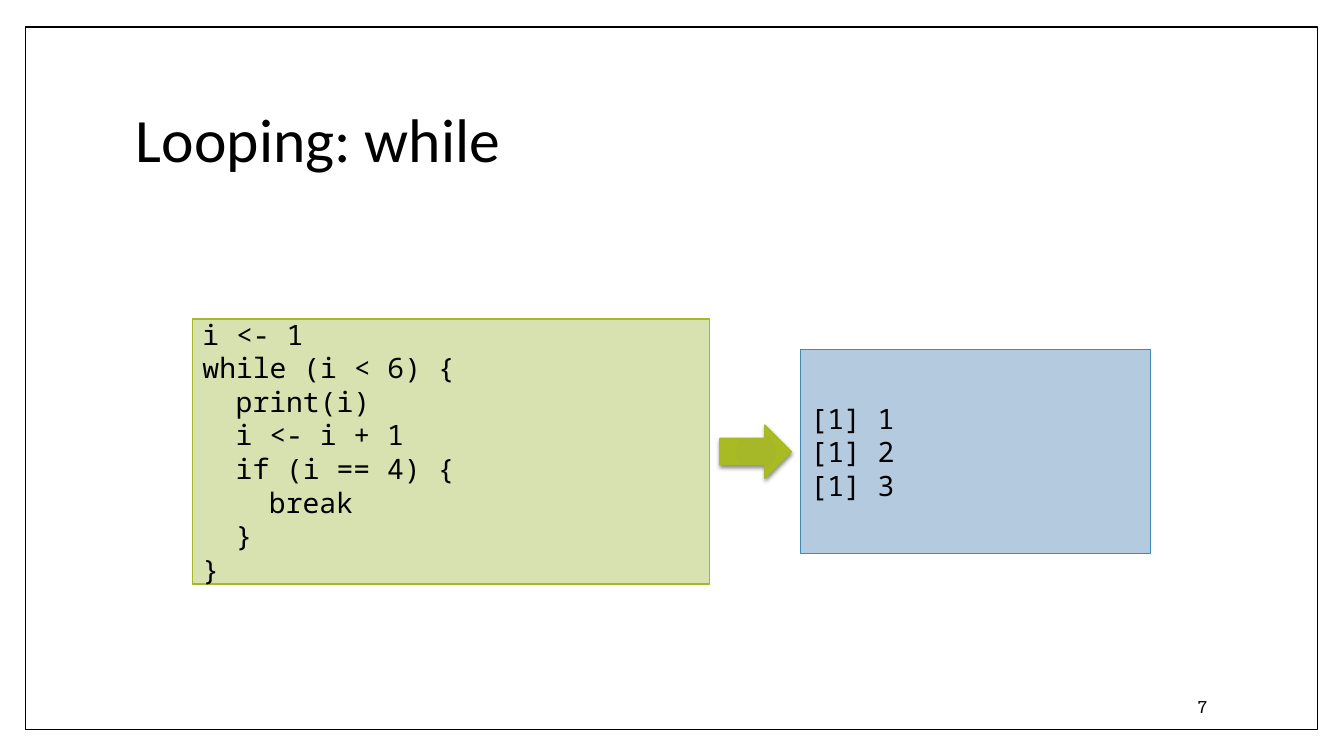
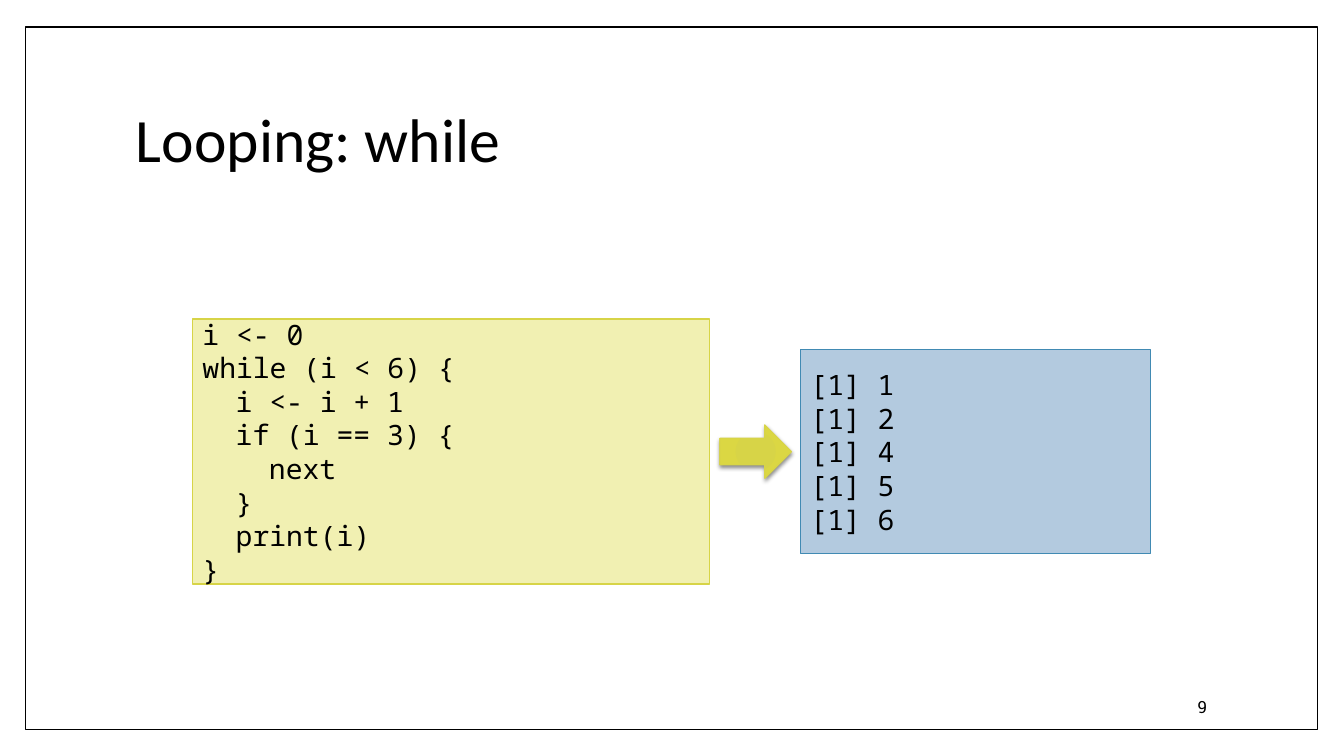
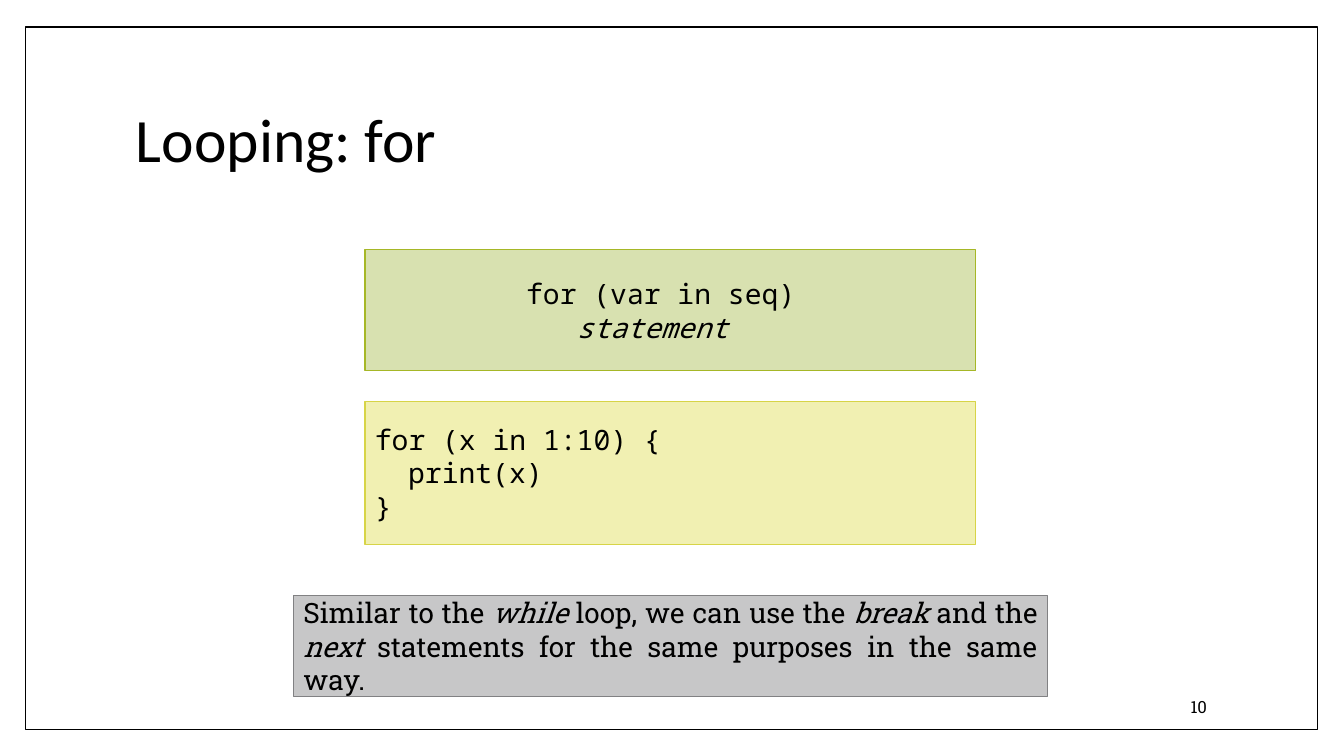
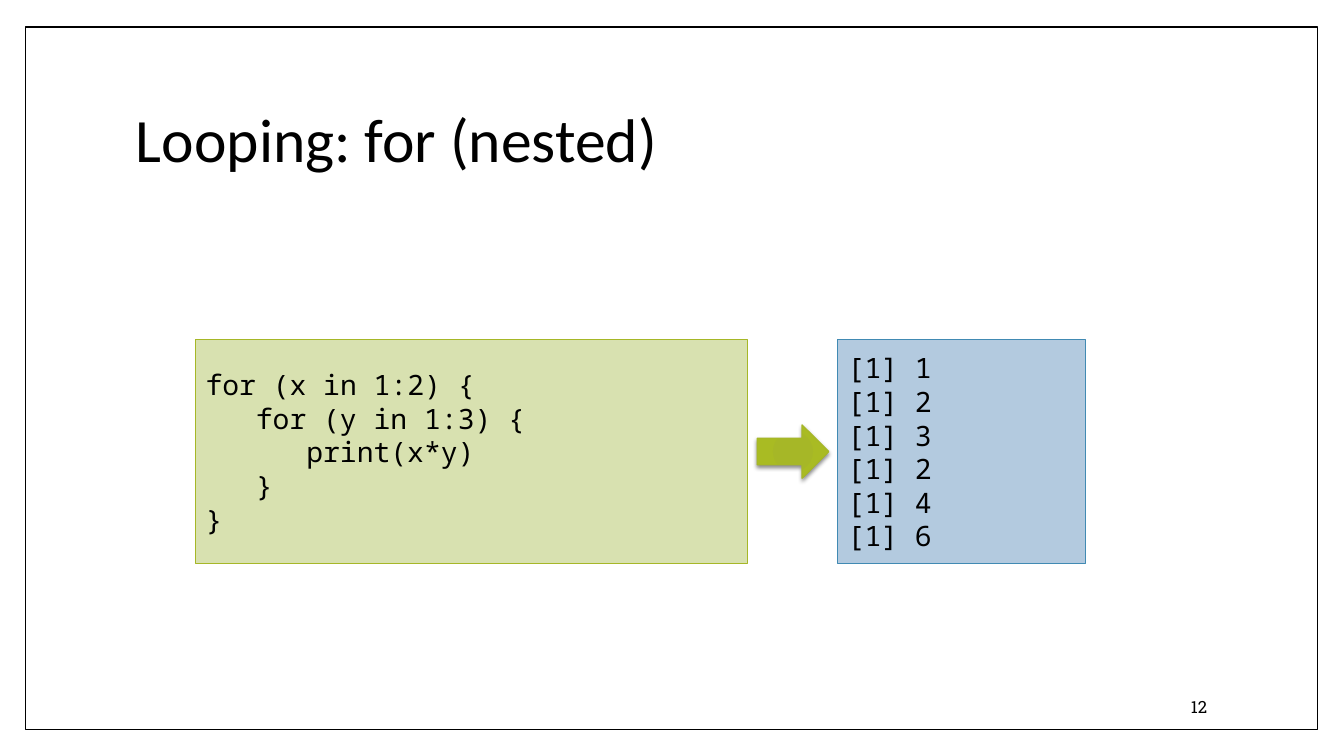
from lxml.etree import SubElement
from pptx import Presentation
from pptx.dml.color import RGBColor
from pptx.enum.shapes import MSO_SHAPE
from pptx.enum.text import MSO_ANCHOR, PP_ALIGN
from pptx.oxml import parse_xml
from pptx.oxml.ns import nsdecls, qn
from pptx.util import Inches, Pt

COLOURS = {
    "black": "000000", "white": "FFFFFF",
    "green": "A6B727", "green tint": "D8E1B0",
    "yellow": "D7D447", "yellow tint": "F1F0B2",
    "blue": "418AB3", "blue tint": "B3CADF",
    "grey": "818183", "grey tint": "C7C7C8",
}
ARROW_SHADES = {
    "green": ("A6B727", "A9BB23", "A1B316"),
    "yellow": ("D7D447", "DBD743", "D0CD33"),
}
FONTS = {
    "title": {"name": "Calibri", "size": Pt(44)},
    "number": {"name": "Roboto Slab", "size": Pt(12)},
    "note": {"name": "Roboto Slab", "size": Pt(20)},
    "code": {"name": "Noto Sans Mono", "size": Pt(20)},
}
MIDDLE = 4.48
ARROW_WIDTH, ARROW_HEIGHT = 0.71, 0.53
ARROW_GAP, OUTPUT_GAP = 0.1, 0.9


def colour(name):
    return RGBColor.from_string(COLOURS[name])


class LoopSlides:
    def __init__(self):
        self.deck = Presentation()
        self.deck.slide_width = Inches(13.33)
        self.deck.slide_height = Inches(7.5)
        self.page = None

    def start(self, title, number):
        """Add a page with its frame, title and page number."""
        self.page = self.deck.slides.add_slide(self.deck.slide_layouts[6])
        self.shape(MSO_SHAPE.RECTANGLE, (0.25, 0.27, 12.82, 6.97), "white", "black", 1)
        self.label((1.25, 0.67, 10.8, 1.48), title, "title", line_spacing=0.9)
        self.label((10.2, 6.81, 1.87, 0.4), str(number), "number", alignment=PP_ALIGN.RIGHT)

    def shape(self, kind, place, fill, line, width=0.79):
        shape = self.page.shapes.add_shape(kind, *map(Inches, place))
        shape.shadow.inherit = False
        shape.fill.solid()
        shape.fill.fore_color.rgb = colour(fill)
        shape.line.color.rgb = colour(line)
        shape.line.width = Pt(width)
        return shape

    def label(self, place, text, style, **layout):
        box = self.page.shapes.add_textbox(*map(Inches, place))
        self.fill_text(box, [(0, text)], style, **layout)

    def panel(self, place, hue, lines, style="code", **layout):
        """Add a tinted box holding (level, text) lines."""
        box = self.shape(MSO_SHAPE.RECTANGLE, place, f"{hue} tint", hue)
        self.fill_text(box, lines, style, **layout)

    def fill_text(self, box, lines, style, step=0.33, margin=0, **layout):
        """Fill a box; each level indents by step, and _marks_ set italics."""
        frame = box.text_frame
        frame.word_wrap = True
        frame.vertical_anchor = MSO_ANCHOR.MIDDLE
        for index, (level, text) in enumerate(lines):
            para = frame.add_paragraph() if index else frame.paragraphs[0]
            for name, value in ({"alignment": PP_ALIGN.LEFT} | layout).items():
                setattr(para, name, value)
            indent = margin + level * step
            if indent:
                para._p.get_or_add_pPr().set("marL", str(Inches(indent)))
            for position, part in enumerate(text.split("_")):
                if part:
                    self.span(para, part, style, italic=position % 2 == 1)

    def span(self, para, text, style, italic):
        span = para.add_run()
        span.text = text
        for name, value in (FONTS[style] | {"italic": italic}).items():
            setattr(span.font, name, value)
        span.font.color.rgb = colour("black")

    def arrow(self, left, hue):
        """Add a right arrow with a radial gradient and a soft shadow."""
        place = (left, MIDDLE - ARROW_HEIGHT / 2, ARROW_WIDTH, ARROW_HEIGHT)
        properties = self.shape(MSO_SHAPE.RIGHT_ARROW, place, hue, hue)._element.spPr
        stops = "".join(
            f'<a:gs pos="{position}"><a:srgbClr val="{shade}"/></a:gs>'
            for position, shade in zip((0, 90000, 100000), ARROW_SHADES[hue])
        )
        gradient = parse_xml(
            f'<a:gradFill {nsdecls("a")}><a:gsLst>{stops}</a:gsLst><a:path path="circle">'
            '<a:fillToRect l="100000" t="100000" r="100000" b="100000"/></a:path></a:gradFill>'
        )
        properties.replace(properties.find(qn("a:solidFill")), gradient)
        shadow = SubElement(
            properties.find(qn("a:effectLst")), qn("a:outerShdw"),
            blurRad=str(Pt(3)), dist=str(Pt(2)), dir="5400000", rotWithShape="0",
        )
        shade = SubElement(shadow, qn("a:srgbClr"), val=COLOURS["black"])
        SubElement(shade, qn("a:alpha"), val="45000")

    def example(self, hue, code, results, left, code_size, output_size, step=0.33):
        """Show code, an arrow and the printed results on one middle line."""
        right = left + code_size[0]
        output = [(0, f"[1] {result}") for result in results]
        for start, (width, height), tint, lines in (
            (left, code_size, hue, code),
            (right + OUTPUT_GAP, output_size, "blue", output),
        ):
            self.panel((start, MIDDLE - height / 2, width, height), tint, lines, step=step)
        self.arrow(right + ARROW_GAP, hue)


def main():
    slides = LoopSlides()
    while_sizes = {"left": 1.91, "code_size": (5.13, 2.63), "output_size": (3.47, 2.02)}

    slides.start("Looping: while", 7)
    break_code = [
        (0, "i <- 1"), (0, "while (i < 6) {"), (1, "print(i)"), (1, "i <- i + 1"),
        (1, "if (i == 4) {"), (2, "break"), (1, "}"), (0, "}"),
    ]
    slides.example("green", break_code, (1, 2, 3), **while_sizes)

    slides.start("Looping: while", 9)
    next_code = [
        (0, "i <- 0"), (0, "while (i < 6) {"), (1, "i <- i + 1"), (1, "if (i == 3) {"),
        (2, "next"), (1, "}"), (1, "print(i)"), (0, "}"),
    ]
    slides.example("yellow", next_code, (1, 2, 4, 5, 6), **while_sizes)

    slides.start("Looping: for", 10)
    syntax = [(0, "for (var in seq)"), (1, "_statement_")]
    slides.panel((3.62, 2.48, 6.06, 1.2), "green", syntax, step=0.5, margin=1.5)
    for_code = [(0, "for (x in 1:10) {"), (1, "print(x)"), (0, "}")]
    slides.panel((3.62, 3.98, 6.06, 1.42), "yellow", for_code)
    note = (
        "Similar to the _while_ loop, we can use the _break_ and the _next_ "
        "statements for the same purposes in the same way."
    )
    slides.panel((2.91, 5.91, 7.48, 1), "grey", [(0, note)], "note", alignment=PP_ALIGN.JUSTIFY)

    slides.start("Looping: for (nested)", 12)
    nested_code = [
        (0, "for (x in 1:2) {"), (1, "for (y in 1:3) {"), (2, "print(x*y)"), (1, "}"), (0, "}"),
    ]
    slides.example("green", nested_code, (1, 2, 3, 2, 4, 6), left=1.94,
                   code_size=(5.47, 2.22), output_size=(2.46, 2.22), step=0.5)

    slides.deck.save("out.pptx")


if __name__ == "__main__":
    main()
